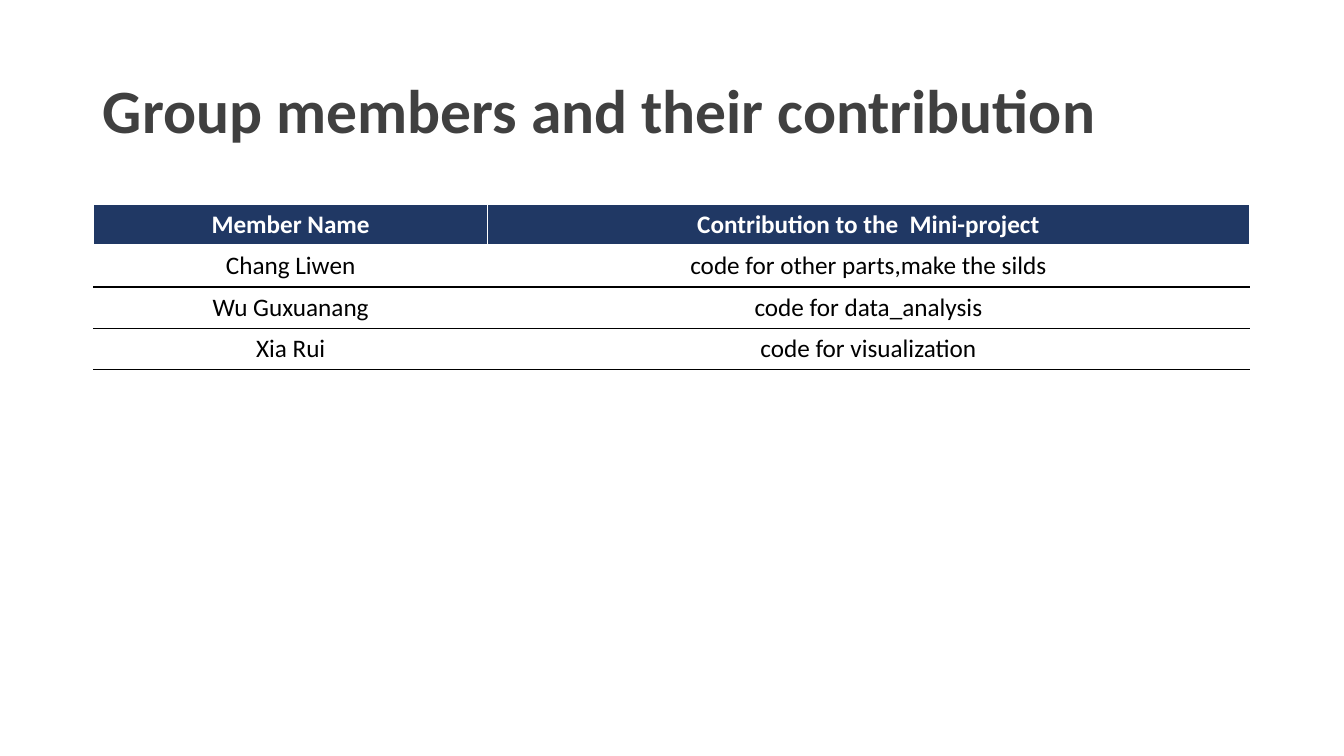
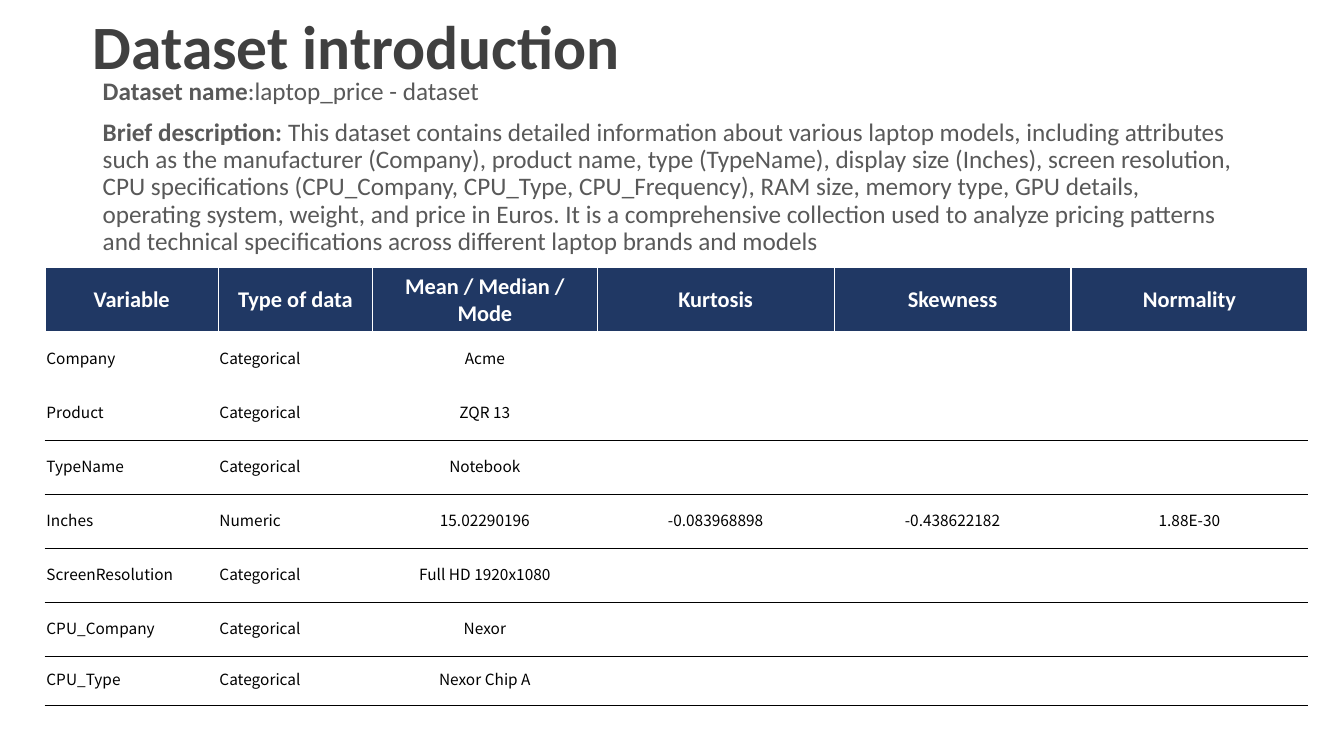
import dataclasses
import typing

import pptx
import pptx.dml.color
import pptx.enum.text
import pptx.oxml
import pptx.oxml.ns
import pptx.util

Cm = pptx.util.Cm
Pt = pptx.util.Pt
ALIGN = pptx.enum.text.PP_ALIGN
MIDDLE = pptx.enum.text.MSO_ANCHOR.MIDDLE

COLOURS = {
    "title": "404040",
    "body": "595959",
    "navy": "203864",
    "white": "FFFFFF",
    "black": "000000",
}
MAIN = "Calibri"
WIDTH = 29.21


@dataclasses.dataclass
class Style:
    size: int
    colour: str
    font: str = MAIN
    bold: bool = False


@dataclasses.dataclass
class Grid:
    """A table; lengths are in centimetres."""
    left: float
    top: float
    cols: list[float]
    rows: list[float]
    cells: list[list[str]]
    head: Style
    body: Style
    plain: int = 0  # body rows at the top without a rule below
    flush: int = 0  # columns set to the left
    tight: bool = False


TITLE = Style(44, "title", bold=True)
TEXT = Style(18, "body")

MEMBERS = Grid(
    2.36, 5.15, [9.93, 19.19], [1.04] * 4,
    [
        ["Member Name", "Contribution to the  Mini-project"],
        ["Chang Liwen", "code for other parts,make the silds"],
        ["Wu Guxuanang", "code for data_analysis"],
        ["Xia Rui", "code for visualization"],
    ],
    Style(18, "white", bold=True), Style(18, "black"),
)

DATASET = Grid(
    1.14, 6.75, [4.36, 3.89, 5.66] + [5.97] * 3,
    [1.6] + [1.36] * 5 + [1.35, 1.24],
    [
        ["Variable", "Type of data", "Mean / Median / Mode",
         "Kurtosis", "Skewness", "Normality"],
        ["Company", "Categorical", "Acme"],
        ["Product", "Categorical", "ZQR 13"],
        ["TypeName", "Categorical", "Notebook"],
        ["Inches", "Numeric", "15.02290196",
         "-0.083968898", "-0.438622182", "1.88E-30"],
        ["ScreenResolution", "Categorical", "Full HD 1920x1080"],
        ["CPU_Company", "Categorical", "Nexor"],
        ["CPU_Type", "Categorical", "Nexor Chip A"],
    ],
    Style(16, "white", bold=True), Style(11, "black", "Noto Sans CJK SC"),
    plain=1, flush=2, tight=True,
)

NOTES = [
    ("Dataset name", ":laptop_price - dataset"),
    ("Brief description: ",
     "This dataset contains detailed information about various laptop models, "
     "including attributes such as the manufacturer (Company), product name, "
     "type (TypeName), display size (Inches), screen resolution, CPU "
     "specifications (CPU_Company, CPU_Type, CPU_Frequency), RAM size, memory "
     "type, GPU details, operating system, weight, and price in Euros. It is a "
     "comprehensive collection used to analyze pricing patterns and technical "
     "specifications across different laptop brands and models"),
]


def shade(name: str) -> pptx.dml.color.RGBColor:
    return pptx.dml.color.RGBColor.from_string(COLOURS[name])


def dress(font: typing.Any, style: Style) -> None:
    font.name = style.font
    font.size = Pt(style.size)
    font.bold = style.bold
    font.color.rgb = shade(style.colour)


def edge(cell: typing.Any, side: str, colour: str, width: int = 1) -> None:
    """Add one cell border; call in the order L, R, T, B and before the fill."""
    space = pptx.oxml.ns.nsdecls("a")
    cell._tc.get_or_add_tcPr().append(pptx.oxml.parse_xml(
        f'<a:ln{side} {space} w="{Pt(width)}"><a:solidFill>'
        f'<a:srgbClr val="{COLOURS[colour]}"/></a:solidFill></a:ln{side}>'))


def add_page(deck: typing.Any, text: str, left: float, top: float,
             height: float) -> typing.Any:
    page = deck.slides.add_slide(deck.slide_layouts[5])
    title = page.shapes.title
    title.left, title.top = Cm(left), Cm(top)
    title.width, title.height = Cm(WIDTH), Cm(height)
    frame = title.text_frame
    frame.text = text
    frame.vertical_anchor = MIDDLE
    line = frame.paragraphs[0]
    line.alignment = ALIGN.LEFT
    line.line_spacing = 0.9
    dress(line.runs[0].font, TITLE)
    return page


def add_grid(page: typing.Any, grid: Grid) -> None:
    table = page.shapes.add_table(
        len(grid.rows), len(grid.cols), Cm(grid.left), Cm(grid.top),
        Cm(sum(grid.cols)), Cm(sum(grid.rows))).table
    table.horz_banding = False
    for col, width in zip(table.columns, grid.cols):
        col.width = Cm(width)
    for row, height in zip(table.rows, grid.rows):
        row.height = Cm(height)

    for i, words in enumerate(grid.cells):
        above = "black" if i - 1 > grid.plain else "white"
        below = "black" if i > grid.plain else "white"
        for j in range(len(grid.cols)):
            cell = table.cell(i, j)
            edge(cell, "L", "white")
            edge(cell, "R", "white")
            edge(cell, "T", above)
            edge(cell, "B", below, 1 if i else 3)
            cell.fill.solid()
            cell.fill.fore_color.rgb = shade("white" if i else "navy")
            cell.vertical_anchor = MIDDLE
            if j >= len(words):
                continue
            if i and grid.tight:
                cell.margin_left = cell.margin_right = Cm(0.03)
                cell.margin_top = Cm(0.03)
            cell.text_frame.text = words[j]
            line = cell.text_frame.paragraphs[0]
            left = i and j < grid.flush
            line.alignment = ALIGN.LEFT if left else ALIGN.CENTER
            dress(line.runs[0].font, grid.body if i else grid.head)


def add_notes(page: typing.Any) -> None:
    """Add the paragraphs that open with a bold label."""
    frame = page.shapes.add_textbox(
        Cm(2.34), Cm(1.85), Cm(WIDTH), Cm(2.77)).text_frame
    frame.word_wrap = True
    for i, (label, text) in enumerate(NOTES):
        line = frame.add_paragraph() if i else frame.paragraphs[0]
        line.line_spacing = 0.9
        line.space_before = Pt(10)
        for part, bold in ((label, True), (text, False)):
            run = line.add_run()
            run.text = part
            dress(run.font, dataclasses.replace(TEXT, bold=bold))


def main() -> None:
    deck = pptx.Presentation()
    deck.slide_width, deck.slide_height = Cm(33.87), Cm(19.05)

    page = add_page(deck, "Group members and their contribution", 2.34, 1.02, 3.68)
    add_grid(page, MEMBERS)

    page = add_page(deck, "Dataset introduction", 2.08, 0, 2.51)
    add_grid(page, DATASET)
    add_notes(page)

    deck.save("out.pptx")


if __name__ == "__main__":
    main()
